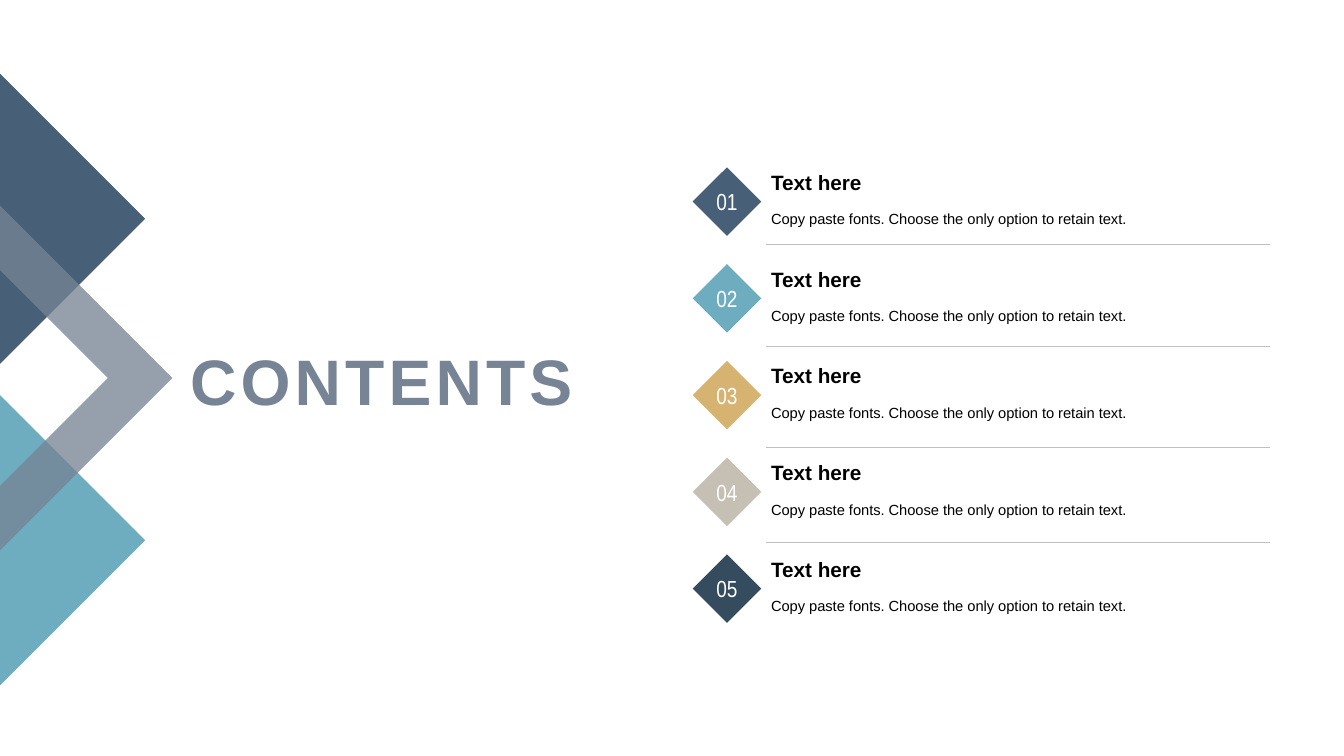
from lxml import etree
from pptx import Presentation
from pptx.dml.color import RGBColor
from pptx.enum import shapes, text
from pptx.oxml.ns import qn
from pptx.util import Inches, Pt

NAVY = RGBColor(0x47, 0x5F, 0x77)
TEAL = RGBColor(0x6D, 0xAD, 0xBF)
SAND = RGBColor(0xD7, 0xB3, 0x71)
STONE = RGBColor(0xC5, 0xBF, 0xB4)
INK = RGBColor(0x35, 0x4B, 0x5E)
SLATE = RGBColor(0x77, 0x84, 0x95)
RULE = RGBColor(0xBF, 0xBF, 0xBF)
WHITE = RGBColor(0xFF, 0xFF, 0xFF)
BLACK = RGBColor(0, 0, 0)

HEADING = "Text here"
DETAIL = "Copy paste fonts. Choose the only option to retain text."
ROW_COLORS = [NAVY, TEAL, SAND, STONE, INK]
ROW_TOP, ROW_PITCH = 1.65, 0.96
RULE_TOPS = [2.42, 3.43, 4.44, 5.38]

MIDDLE, BOTTOM = text.MSO_ANCHOR.MIDDLE, text.MSO_ANCHOR.BOTTOM
LEFT, CENTER, RIGHT = text.PP_ALIGN.LEFT, text.PP_ALIGN.CENTER, text.PP_ALIGN.RIGHT

NUMBER_FONT = {"name": "Arial Narrow", "size": Pt(16.6)}
HEADING_FONT = {"name": "Arial", "size": Pt(14.8), "bold": True}
DETAIL_FONT = {"name": "Arial", "size": Pt(10.5)}
TITLE_FONT = {"name": "Arial", "size": Pt(45.9), "bold": True}


def paint(sp, color):
    sp.fill.solid()
    sp.fill.fore_color.rgb = color
    sp.line.fill.background()
    sp.shadow.inherit = False


def write(sp, words, font, color, align=LEFT, anchor=MIDDLE, wrap=True):
    """Fill a shape with one formatted run and return the run."""
    tf = sp.text_frame
    tf.auto_size = text.MSO_AUTO_SIZE.NONE
    tf.word_wrap = wrap
    tf.vertical_anchor = anchor
    p = tf.paragraphs[0]
    p.alignment = align
    r = p.add_run()
    r.text = words
    for name, value in font.items():
        setattr(r.font, name, value)
    r.font.color.rgb = color
    return r


def add_polygon(slide, points, color, opacity=100):
    start, *rest = [(Inches(x), Inches(y)) for x, y in points]
    builder = slide.shapes.build_freeform(*start)
    builder.add_line_segments(rest, close=True)
    sp = builder.convert_to_shape()
    paint(sp, color)
    if opacity < 100:
        clr = sp.fill._xPr.find(qn("a:solidFill"))[0]
        etree.SubElement(clr, qn("a:alpha")).set("val", str(opacity * 1000))


def add_title(slide):
    title = slide.shapes.title
    title.left, title.top = Inches(1.69), Inches(3.26)
    title.width, title.height = Inches(4.09), Inches(1.01)
    title.text_frame.margin_left = 0
    r = write(title, "CONTENTS", TITLE_FONT, SLATE, align=RIGHT)
    r._r.get_or_add_rPr().set("spc", "300")


def add_label(slide, top, height, words, font, **layout):
    sp = slide.shapes.add_textbox(Inches(7.55), Inches(top), Inches(4.33), Inches(height))
    write(sp, words, font, BLACK, **layout)
    return sp


def add_entry(slide, number, top, color):
    diamond = slide.shapes.add_shape(shapes.MSO_SHAPE.DIAMOND, Inches(6.87),
                                     Inches(top + 0.01), Inches(0.68), Inches(0.68))
    paint(diamond, color)
    write(diamond, f"{number:02d}", NUMBER_FONT, WHITE, align=CENTER, wrap=False)
    add_label(slide, top, 0.33, HEADING, HEADING_FONT, anchor=BOTTOM)
    detail = add_label(slide, top + 0.33, 0.35, DETAIL, DETAIL_FONT)
    detail.text_frame.paragraphs[0].line_spacing = 1.2


def add_rule(slide, top):
    line = slide.shapes.add_connector(shapes.MSO_CONNECTOR.STRAIGHT, Inches(7.6),
                                      Inches(top), Inches(12.6), Inches(top))
    line.line.color.rgb = RULE
    line.line.width = Pt(0.25)
    etree.SubElement(line._element.spPr, qn("a:effectLst"))


def main():
    prs = Presentation()
    prs.slide_width, prs.slide_height = Inches(13.33), Inches(7.5)
    slide = prs.slides.add_slide(prs.slide_layouts[5])

    add_polygon(slide, [(0, 3.92), (1.44, 5.36), (0, 6.8)], TEAL)
    add_polygon(slide, [(0, 0.73), (1.44, 2.17), (0, 3.61)], NAVY)
    add_polygon(slide, [(1.71, 3.75), (0, 5.46), (0, 4.82), (1.07, 3.75),
                        (0, 2.68), (0, 2.04)], SLATE, opacity=77)
    add_title(slide)
    for i, color in enumerate(ROW_COLORS):
        add_entry(slide, i + 1, ROW_TOP + i * ROW_PITCH, color)
    for top in RULE_TOPS:
        add_rule(slide, top)

    prs.save("out.pptx")


if __name__ == "__main__":
    main()
